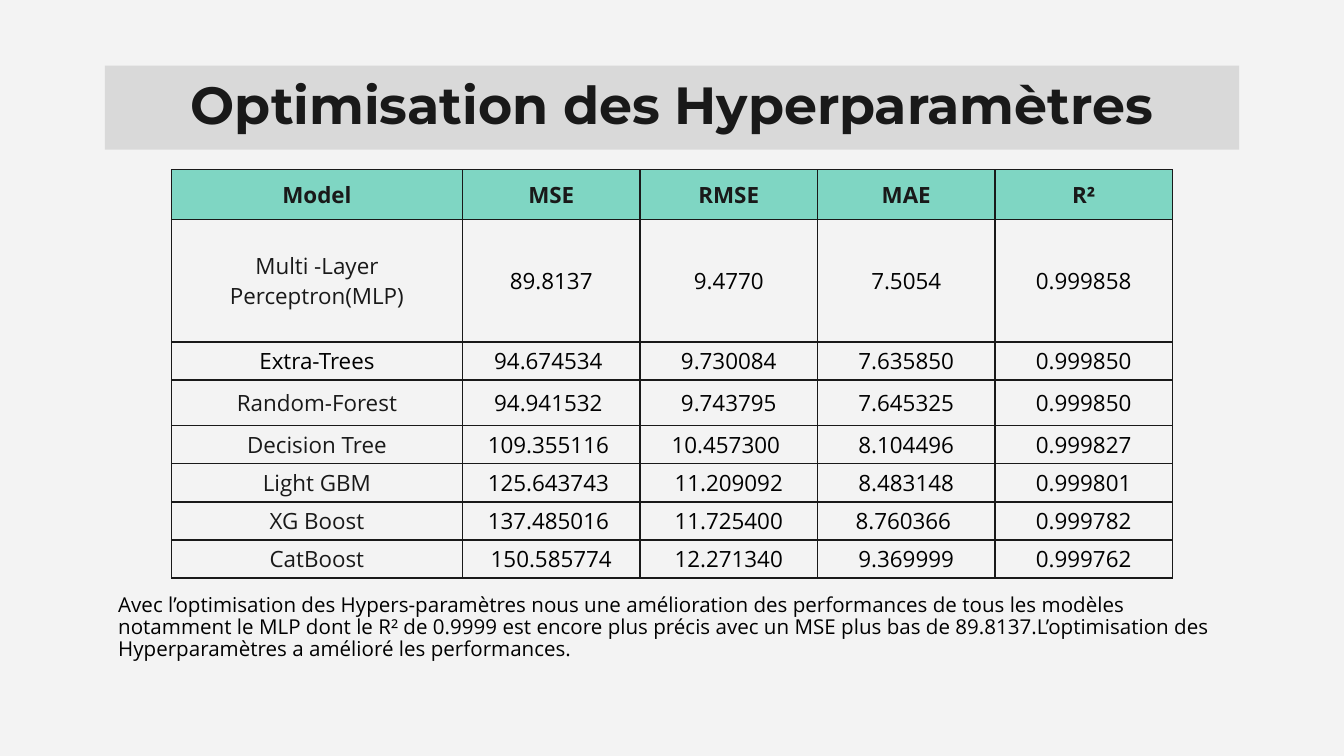
from lxml.etree import SubElement as Sub
from pptx import Presentation as Deck
from pptx.dml.color import RGBColor as RGB
from pptx.enum.shapes import MSO_SHAPE as Shape
from pptx.enum.text import MSO_ANCHOR as Anchor, PP_ALIGN as Align
from pptx.oxml.ns import qn
from pptx.util import Pt

INK, BLACK, MINT, GREY, PAPER = "191919", "000000", "7FD6C3", "D9D9D9", "F3F3F3"
HEAD = ["Model", "MSE", "RMSE", "MAE", "R²"]
ROWS = [
    ["Multi -Layer Perceptron(MLP)", "89.8137", "9.4770", "7.5054", "0.999858"],
    ["Extra-Trees", "94.674534 ", "9.730084", "7.635850", "0.999850"],
    ["Random-Forest", "94.941532 ", "9.743795", "7.645325", "0.999850"],
    ["Decision Tree", "109.355116 ", "10.457300 ", "8.104496", "0.999827"],
    ["Light GBM", "125.643743 ", "11.209092", "8.483148", "0.999801"],
    ["XG Boost", "137.485016 ", "11.725400", "8.760366 ", "0.999782"],
    ["CatBoost", "150.585774", "12.271340", "9.369999", "0.999762"],
]
NOTE = (
    "Avec l’optimisation des Hypers-paramètres nous une amélioration des "
    "performances de tous les modèles notamment le MLP dont le R² de 0.9999 est "
    "encore plus précis avec un MSE plus bas de 89.8137.L’optimisation des "
    "Hyperparamètres a amélioré les performances."
)


def paint(fill, tint):
    fill.solid()
    fill.fore_color.rgb = RGB.from_string(tint)


class Page:
    title_font = "Montserrat"
    body_font = "Open Sans"

    def __init__(self, slide):
        self.slide = slide
        paint(slide.background.fill, PAPER)

    def label(self, frame, text, size, tint=BLACK, bold=False, font=None,
              align=Align.CENTER, space=1.0):
        frame.text = text
        frame.word_wrap = True
        para = frame.paragraphs[0]
        para.alignment = align
        para.line_spacing = space
        face = para.runs[0].font
        face.name = font or self.body_font
        face.size = Pt(size)
        face.bold = bold
        face.color.rgb = RGB.from_string(tint)

    def title(self, text, box):
        bar = self.slide.shapes.add_shape(Shape.RECTANGLE, *map(Pt, box))
        bar.shadow.inherit = False
        paint(bar.fill, GREY)
        bar.line.fill.background()
        bar.text_frame.vertical_anchor = Anchor.MIDDLE
        self.label(bar.text_frame, text, 28, INK, True, self.title_font, space=0.9)

    def note(self, text, box):
        frame = self.slide.shapes.add_textbox(*map(Pt, box)).text_frame
        self.label(frame, text, 11, align=Align.LEFT, space=0.88)
        frame.paragraphs[0].space_after = Pt(6)

    def border(self, cell):
        props = cell._tc.get_or_add_tcPr()
        for side in ("a:lnL", "a:lnR", "a:lnT", "a:lnB"):
            line = Sub(props, qn(side), w=str(Pt(0.75)))
            Sub(Sub(line, qn("a:solidFill")), qn("a:srgbClr"), val=INK)

    def cell(self, cell, text, tint, head):
        self.border(cell)
        cell.vertical_anchor = Anchor.MIDDLE
        cell.margin_left = cell.margin_right = Pt(7.2 if head else 0)
        cell.margin_top = cell.margin_bottom = Pt(5 if head else 0)
        if head:
            paint(cell.fill, MINT)
        else:
            cell.fill.background()
        self.label(cell.text_frame, text, 12, tint, head)

    def table(self, rows, left, top, wide, high):
        grid = self.slide.shapes.add_table(
            len(rows), len(wide), Pt(left), Pt(top), Pt(sum(wide)), Pt(sum(high))
        ).table
        grid.first_row = grid.horz_banding = False
        for col, width in zip(grid.columns, wide):
            col.width = Pt(width)
        for r, row in enumerate(rows):
            grid.rows[r].height = Pt(high[r])
            for c, text in enumerate(row):
                dark = r == 0 or (c == 0 and text != "Extra-Trees")
                self.cell(grid.cell(r, c), text, INK if dark else BLACK, r == 0)


def main():
    deck = Deck()
    deck.slide_width, deck.slide_height = Pt(720), Pt(405)
    page = Page(deck.slides.add_slide(deck.slide_layouts[6]))
    page.title("Optimisation des Hyperparamètres", (56.2, 35.2, 607.6, 45))
    page.table([HEAD] + ROWS, 91.8, 91, [156] + [95.1] * 4,
               [26.8, 65.4, 20.4, 24.6] + [20.4] * 4)
    page.note(NOTE, (56.2, 315.4, 601.2, 67))
    deck.save("out.pptx")


if __name__ == "__main__":
    main()
